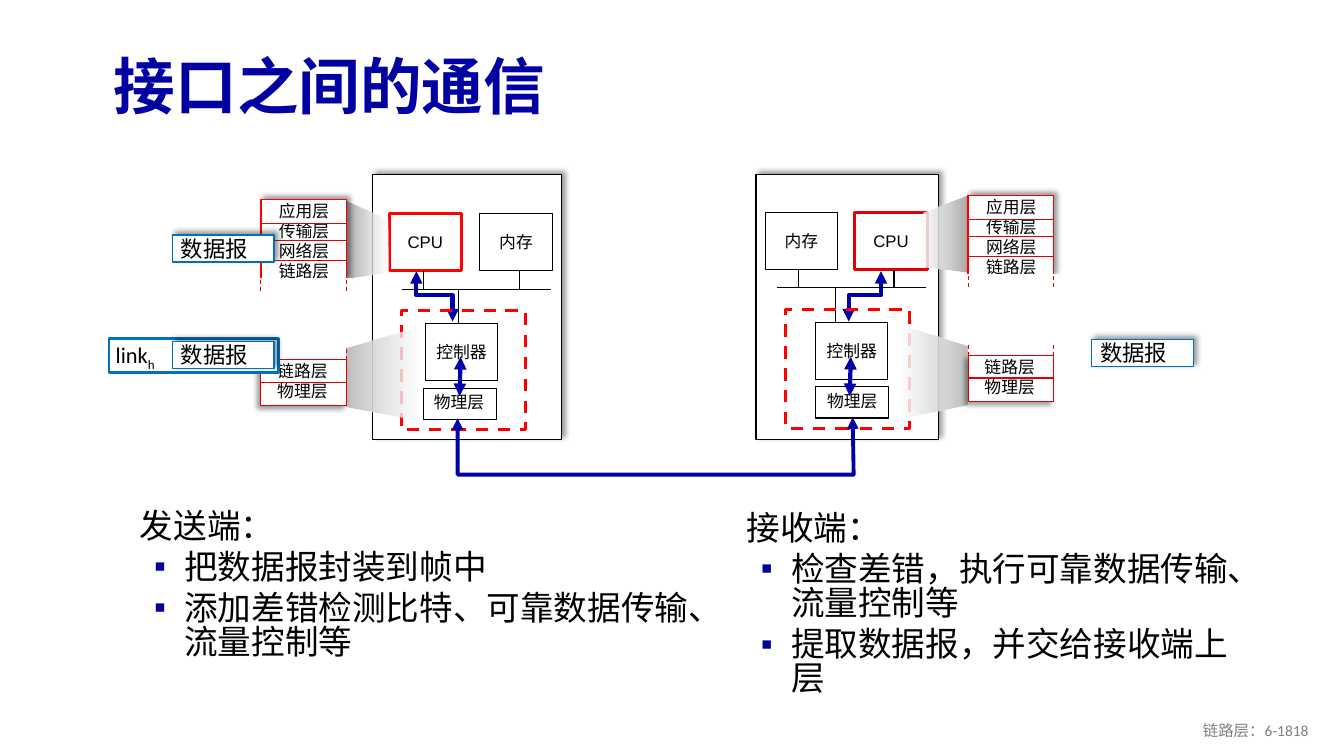
"""Build the slide on communication between network interfaces."""
from collections import namedtuple
from dataclasses import dataclass

from lxml.etree import SubElement
from pptx import Presentation
from pptx.dml.color import RGBColor as RGB
from pptx.enum.dml import MSO_LINE as Dash
from pptx.enum.shapes import MSO_CONNECTOR as Connector, MSO_SHAPE as Preset
from pptx.enum.text import MSO_ANCHOR as Anchor, PP_ALIGN as Align
from pptx.oxml.ns import qn
from pptx.util import Pt


@dataclass(frozen=True)
class Theme:
    title: str = "0000A3"
    arrow: str = "0000A8"
    bullet: str = "000099"
    ink: str = "000000"
    paper: str = "FFFFFF"
    red: str = "FF0000"
    deep_red: str = "E40000"
    datagram: str = "0070C0"
    link_fan: str = "BFBFBF"
    app_fan: str = "A6A6A6"
    footer: str = "808080"
    body_font: str = "Calibri"
    label_font: str = "Arial"
    title_size: int = 44
    body_size: int = 24
    datagram_size: int = 16
    label_size: int = 12
    footer_size: int = 11


Host = namedtuple("Host", "x width dy controller physical label bend bus riser "
                          "cpu memory inner nic cpu_line")
Stack = namedtuple("Stack", "x dy link_fan app_fan fade mirrored link_edges")


def apply(target, values):
    for name, value in values.items():
        setattr(target, name, value)


class SlideBuilder:
    def __init__(self, slide, theme):
        self.slide, self.theme = slide, theme

    def stroke(self, shape, color, width, dashed=False, arrows=False):
        shape.line.color.rgb = RGB.from_string(color)
        shape.line.width = Pt(width)
        if dashed:
            shape.line.dash_style = Dash.DASH
        if arrows:
            outline = shape._element.spPr.find(qn("a:ln"))
            for end in ("a:headEnd", "a:tailEnd"):
                SubElement(outline, qn(end), type="triangle")

    def put_lines(self, frame, lines, size, color=None, font=None, align=Align.LEFT,
                  anchor=Anchor.TOP, wrap=False, bold=False, spacing=None):
        apply(frame, {"word_wrap": wrap, "vertical_anchor": anchor})
        for index, line in enumerate(lines):
            paragraph = frame.add_paragraph() if index else frame.paragraphs[0]
            apply(paragraph, {"alignment": align, "line_spacing": spacing})
            run = paragraph.add_run()
            run.text = line
            self.style(run, size, color, font, bold)
        return frame

    def style(self, run, size, color=None, font=None, bold=False):
        apply(run.font, {"size": Pt(size), "bold": bold,
                         "name": font or self.theme.body_font})
        run.font.color.rgb = RGB.from_string(color or self.theme.ink)

    def title(self, words, box):
        holder = self.slide.shapes.title
        apply(holder, dict(zip(("left", "top", "width", "height"), map(Pt, box))))
        self.put_lines(holder.text_frame, [words], self.theme.title_size, self.theme.title,
                       anchor=Anchor.MIDDLE, wrap=True, bold=True, spacing=0.9)

    def rect(self, box, color=None, width=0.75, filled=True, dashed=False,
             shadow=None, label=None):
        shape = self.slide.shapes.add_shape(Preset.RECTANGLE, *map(Pt, box))
        shape.shadow.inherit = False
        if filled:
            shape.fill.solid()
            shape.fill.fore_color.rgb = RGB.from_string(self.theme.paper)
        else:
            shape.fill.background()
        if color:
            self.stroke(shape, color, width, dashed)
        else:
            shape.line.fill.background()
        if shadow is not None:
            effects = shape._element.spPr.find(qn("a:effectLst"))
            outer = SubElement(effects, qn("a:outerShdw"), blurRad=str(Pt(4)),
                               dist=str(Pt(3)), dir=str(shadow * 60000))
            tint = SubElement(outer, qn("a:srgbClr"), val=self.theme.ink)
            SubElement(tint, qn("a:alpha"), val="40000")
        if label:
            self.put_lines(shape.text_frame, [label], self.theme.label_size,
                           font=self.theme.label_font, align=Align.CENTER,
                           anchor=Anchor.MIDDLE)

    def text(self, box, lines, size, **style):
        frame = self.slide.shapes.add_textbox(*map(Pt, box)).text_frame
        return self.put_lines(frame, lines, size, **style)

    def labels(self, box, lines, font=None):
        self.text(box, lines, self.theme.label_size, font=font, align=Align.CENTER)

    def line(self, start, end, color=None, width=0.75, dashed=False, arrows=False):
        connector = self.slide.shapes.add_connector(
            Connector.STRAIGHT, *map(Pt, (*start, *end)))
        self.stroke(connector, color or self.theme.ink, width, dashed, arrows)
        SubElement(connector._element.spPr, qn("a:effectLst"))

    def outline(self, points, close):
        first, *rest = [(Pt(x), Pt(y)) for x, y in points]
        builder = self.slide.shapes.build_freeform(*first)
        builder.add_line_segments(rest, close=close)
        shape = builder.convert_to_shape()
        shape.shadow.inherit = False
        return shape

    def route(self, points, width):
        wire = self.outline(points, close=False)
        wire.fill.background()
        self.stroke(wire, self.theme.arrow, width, arrows=True)

    def fan(self, points, color, fade, mirrored):
        shape = self.outline(points, close=True)
        shape.line.fill.background()
        shape.fill.gradient()
        shape.fill.gradient_angle = 0
        shades = [(color, 100), (self.theme.paper, fade)]
        if mirrored:
            shades.reverse()
        for place, (stop, (shade, _)) in enumerate(zip(shape.fill.gradient_stops, shades)):
            stop.color.rgb = RGB.from_string(shade)
            stop.position = place
        tints = shape._element.spPr.iter(qn("a:srgbClr"))
        for tint, (_, alpha) in zip(tints, shades):
            SubElement(tint, qn("a:alpha"), val=str(alpha * 1000))

    def duties(self, box, heading, points):
        frame = self.text(box, [heading, *points], self.theme.body_size,
                          wrap=True, spacing=0.85)
        for paragraph in frame.paragraphs[1:]:
            paragraph.space_before = Pt(4.8)
            settings = paragraph._p.get_or_add_pPr()
            settings.set("marL", str(Pt(31.7)))
            settings.set("indent", str(Pt(-21.6)))
            tint = SubElement(settings, qn("a:buClr"))
            SubElement(tint, qn("a:srgbClr"), val=self.theme.bullet)
            SubElement(settings, qn("a:buFont"), typeface=self.theme.label_font)
            SubElement(settings, qn("a:buChar"), char="▪")

    def datagram(self, x, y):
        self.rect((x, y, 72.7, 19.4), self.theme.datagram, 1, shadow=315)
        self.text((x - 1, y - 3.6, 82.8, 26.6), ["数据报"], self.theme.datagram_size, wrap=True)

    def host(self, h):
        theme, dy = self.theme, h.dy
        self.rect((h.x, 124.6, h.width, 189.4), theme.ink, shadow=315)
        self.rect((h.physical, 277.2 + dy, 52.5, 22.3), theme.ink)
        self.rect((h.controller, 231.1 + dy, 51.8, 41), theme.ink, label="控制器")
        self.labels((h.label, 276.5 + dy, 58.3, 36), ["物理层"], theme.label_font)
        start, end = h.bend
        self.route([(start, 193.7), (start, 211), (end, 211), (end, 229.7)], 3)
        bus_y = 206.6 + dy
        self.line((h.bus, bus_y), (h.bus + 106.6, bus_y))
        self.line((h.riser, 231.1 + dy), (h.riser, bus_y))
        self.rect((h.memory, 152.6 + dy, 51.8, 41), theme.ink, label="内存")
        self.rect((h.cpu, 152.6 + dy, 51.8, 41), h.cpu_line, 2.25, label="CPU")
        for drop in (h.bus + 15.1, h.bus + 83.5):
            self.line((drop, bus_y), (drop, 193.7 + dy))
        self.line((h.inner, 254.9), (h.inner - 0.7, 283), theme.arrow, 3, arrows=True)
        self.rect((h.nic, 221.8 + dy, 88.6, 85), theme.red, 2.25, filled=False, dashed=True)

    def stack(self, s):
        theme, x, dy, right = self.theme, s.x, s.dy, s.x + 61.2
        self.fan(s.link_fan, theme.link_fan, s.fade[0], s.mirrored)
        self.rect((x, 257 + dy, 61.2, 32.4), theme.deep_red, shadow=135)
        self.fan(s.app_fan, theme.app_fan, s.fade[1], s.mirrored)
        self.rect((x, 142.6 + dy, 61.2, 57.6), theme.red, 1, shadow=315)
        self.labels((x - 3.6, 139.7 + dy, 69.1, 65.5), ["应用层", "传输层", "网络层", "链路层"])
        for y in (159.6, 172.1, 185.8, 272.9):
            self.line((x, y + dy), (right, y + dy), theme.deep_red)
        self.rect((x - 4, 198.7 + dy, 69.1, 14.4))
        edges = [(x, 200), (right, 200), *((edge, 249.1) for edge in s.link_edges)]
        for edge, y in edges:
            self.line((edge, y + dy), (edge, y + dy + 7.9), theme.deep_red, dashed=True)
        self.labels((x + 2.7, 254.2 + dy, 54, 36.7), ["链路层", "物理层"])


def main():
    deck = Presentation()
    apply(deck, {"slide_width": Pt(960), "slide_height": Pt(540)})
    theme = Theme()
    page = SlideBuilder(deck.slides.add_slide(deck.slide_layouts[5]), theme)
    page.title("接口之间的通信", (74.2, 28.8, 828, 70.6))
    page.host(Host(540, 130.3, -0.9, 582.5, 582.5, 579.6, (629.3, 606.2), 555.1, 596.9,
                   610.6, 546.5, 607.7, 560.9, theme.deep_red))
    page.host(Host(266.4, 134.6, 0, 303.8, 302.4, 298.8, (297.4, 323.3), 287.3, 327.6,
                   277.9, 342.7, 329, 286.6, theme.red))
    page.stack(Stack(186.3, 0, [(299.5, 233.3), (247.7, 248.4), (247.7, 290.2), (300.2, 300.2)],
                     [(276.5, 157), (247, 143.3), (247, 198.7), (277.2, 194.4)],
                     (74, 66), False, [247.5]))
    page.stack(Stack(691.5, -2.9, [(642.2, 231.8), (691.2, 247), (691.2, 288.7), (642.2, 298.8)],
                     [(659.5, 151.9), (692.6, 139), (692.6, 194.4), (658.1, 190.1)],
                     (82, 81), True, [691.5, 752.7]))
    page.route([(326.9, 298.8), (326.9, 339.1), (609.8, 339.1), (609.1, 298.1)], 2.75)
    page.duties((92.9, 361.4, 413.3, 152.6), "发送端：",
                ["把数据报封装到帧中", "添加差错检测比特、可靠数据传输、流量控制等"])
    page.duties((526.3, 362.9, 380.2, 145.4), "接收端：",
                ["检查差错，执行可靠数据传输、流量控制等", "提取数据报，并交给接收端上层"])
    page.rect((77.8, 241.9, 121, 24.5), theme.datagram, 2)
    header = page.text((75.6, 240.5, 48.2, 26.6), ["link"], theme.datagram_size, wrap=True)
    subscript = header.paragraphs[0].add_run()
    subscript.text = "h"
    page.style(subscript, theme.datagram_size)
    subscript._r.get_or_add_rPr().set("baseline", "-25000")
    for corner in ((123.1, 244.1), (123.1, 167.8), (779.8, 242.6)):
        page.datagram(*corner)
    page.text((725.8, 507.6, 216, 28.8), ["链路层：6-1818"], theme.footer_size,
              color=theme.footer, align=Align.RIGHT, anchor=Anchor.MIDDLE, wrap=True)
    deck.save("out.pptx")


if __name__ == "__main__":
    main()
